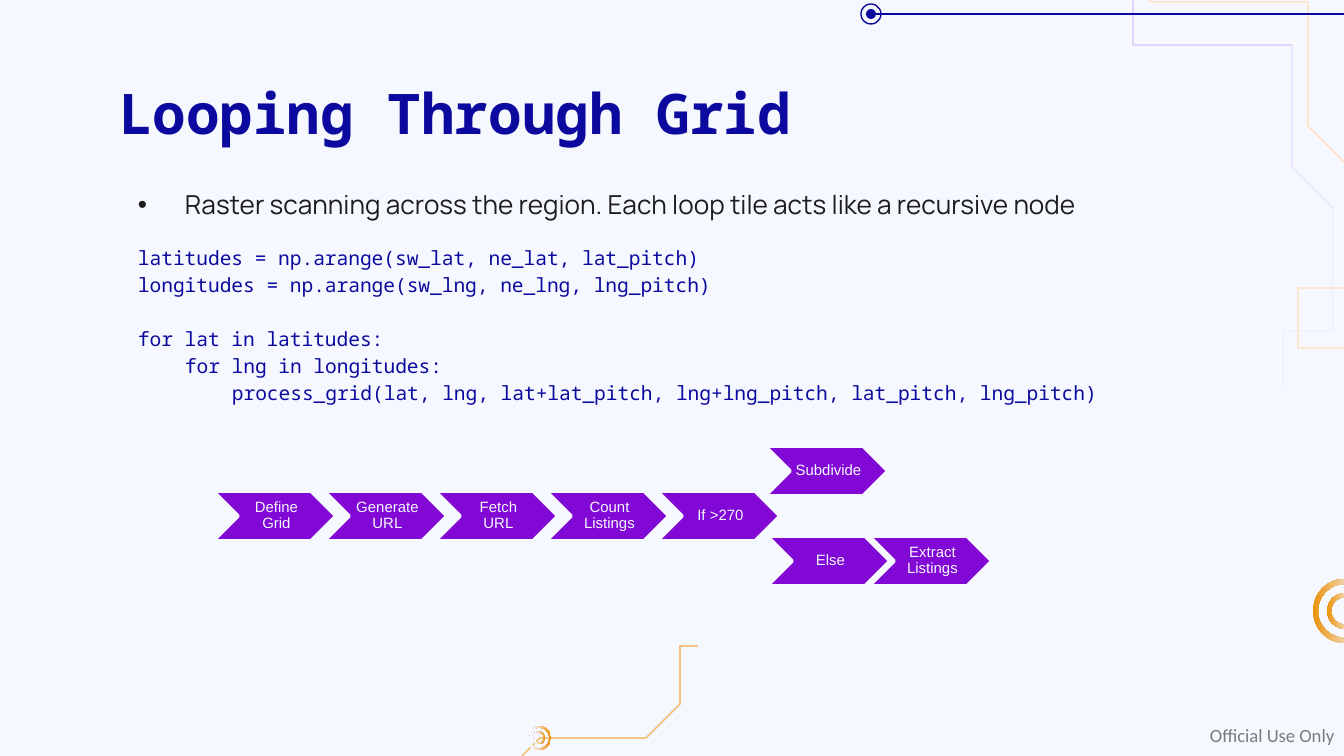
from dataclasses import dataclass

from lxml.etree import SubElement
from pptx import Presentation
from pptx.dml.color import RGBColor
from pptx.enum.shapes import MSO_CONNECTOR as CONNECTOR, MSO_SHAPE as SHAPE
from pptx.enum.text import MSO_ANCHOR as ANCHOR, MSO_AUTO_SIZE as AUTOSIZE, PP_ALIGN as ALIGN
from pptx.oxml.ns import qn
from pptx.util import Pt

WIDTH, HEIGHT = 1344, 756
SCALE = 9144000 / WIDTH


@dataclass(frozen=True)
class Theme:
    """Colours, fonts and type sizes of the slide."""
    paper: str = "F5F8FF"
    navy: str = "0C0A9E"
    ink: str = "1D1D1D"
    violet: str = "8208D5"
    amber: str = "EB9109"
    amber_trace: str = "F3C47F"
    amber_faint: str = "F9E6CF"
    lilac: str = "E3D2FB"
    lilac_faint: str = "EBE5FE"
    lilac_ghost: str = "F2F2FF"
    grey: str = "7B7C80"
    mono: str = "Noto Sans Mono"
    sans: str = "Manrope"
    label: str = "Arial"
    footer: str = "Calibri"
    title_size: float = 30
    body_size: float = 14
    code_size: float = 10.5
    step_size: float = 8
    footer_size: float = 10


THEME = Theme()

CODE = [
    (0, 12, "latitudes = np.arange(sw_lat, ne_lat, lat_pitch)"),
    (0, 0, "longitudes = np.arange(sw_lng, ne_lng, lng_pitch)"),
    (0, 14.5, "for lat in latitudes:"),
    (1, 0, "for lng in longitudes:"),
    (2, 0, "process_grid(lat, lng, lat+lat_pitch, lng+lng_pitch, lat_pitch, lng_pitch)"),
]

STEP_ROWS = [
    (213, 491, 111, ["Define Grid", "Generate URL", "Fetch URL", "Count Listings", "If >270"]),
    (765, 446, 102, ["Subdivide"]),
    (767, 536, 102, ["Else", "Extract Listings"]),
]

TRACES = [
    (THEME.lilac, [(1133, 0), (1133, 45), (1292, 45)]),
    (THEME.lilac_faint, [(1292, 45), (1292, 167), (1333, 208)]),
    (THEME.lilac_ghost, [(1333, 208), (1333, 331), (1283, 331), (1283, 388)]),
    (THEME.amber_faint, [(1149, 0), (1152, 2), (1308, 2), (1308, 126), (1344, 162)]),
    (THEME.amber_faint, [(1344, 288), (1298, 288), (1298, 348), (1344, 348)]),
    (THEME.amber_trace, [(522, 756), (540, 738), (646, 738), (680, 704), (680, 646), (698, 646)]),
]

RINGS = [
    (1345, 611, 64, 0.08, 0),
    (1345, 611, 36, 0.12, 0),
    (539, 738, 24, 0.07, 180),
    (539, 738, 13, 0.1, 180),
]


def px(*lengths):
    """Turn px lengths into a list of EMU."""
    return [round(length * SCALE) for length in lengths]


def rgb(code):
    """Turn a hex code into a colour."""
    return RGBColor.from_string(code)


def add_run(paragraph, text, font, size, color, bold=False):
    """Add one formatted run to a paragraph."""
    run = paragraph.add_run()
    run.text = text
    run.font.name, run.font.size, run.font.bold = font, Pt(size), bold
    run.font.color.rgb = rgb(color)


def set_frame(frame, margins, anchor=ANCHOR.TOP):
    """Set wrapping, insets and anchor of a text frame."""
    frame.word_wrap, frame.auto_size, frame.vertical_anchor = True, AUTOSIZE.NONE, anchor
    frame.margin_left, frame.margin_top, frame.margin_right, frame.margin_bottom = px(*margins)


def place(holder, left, top, width, height):
    """Move a placeholder and return its prepared text frame."""
    holder.left, holder.top, holder.width, holder.height = px(left, top, width, height)
    set_frame(holder.text_frame, (13, 13, 13, 13))
    return holder.text_frame


def format_body(paragraph, margin, indent=0, before=0):
    """Set alignment, indents and spacing of a body paragraph."""
    paragraph.alignment, paragraph.line_spacing = ALIGN.LEFT, 1.15
    paragraph.space_before = Pt(before)
    properties = paragraph._p.get_or_add_pPr()
    properties.set("marL", str(px(margin)[0]))
    properties.set("indent", str(px(indent)[0]))
    return properties


def fill_title(holder):
    """Write the slide title."""
    paragraph = place(holder, 106, 66, 1133, 85).paragraphs[0]
    paragraph.alignment = ALIGN.LEFT
    add_run(paragraph, "Looping Through Grid", THEME.mono, THEME.title_size, THEME.navy, True)


def fill_body(holder):
    """Write the bullet and the code listing."""
    frame = place(holder, 105, 171, 1133, 508)
    bullet = frame.paragraphs[0]
    properties = format_body(bullet, 67, -47)
    SubElement(SubElement(properties, qn("a:buClr")), qn("a:srgbClr"), val=THEME.ink)
    SubElement(properties, qn("a:buFont"), typeface=THEME.label)
    SubElement(properties, qn("a:buChar"), char="•")
    add_run(bullet, "Raster scanning across the region. Each loop tile acts like a recursive node",
            THEME.sans, THEME.body_size, THEME.ink)
    for depth, before, text in CODE:
        line = frame.add_paragraph()
        format_body(line, 20 + 47 * depth, before=before)
        add_run(line, text, THEME.mono, THEME.code_size, THEME.navy)


def add_preset(slide, kind, left, top, width, height, fill=None, line=None, weight=0.75):
    """Add a flat preset shape."""
    shape = slide.shapes.add_shape(kind, *px(left, top, width, height))
    shape.shadow.inherit = False
    if fill:
        shape.fill.solid()
        shape.fill.fore_color.rgb = rgb(fill)
    else:
        shape.fill.background()
    if line:
        shape.line.color.rgb, shape.line.width = rgb(line), Pt(weight)
    else:
        shape.line.fill.background()
    return shape


def add_step(slide, left, top, label):
    """Add one labelled chevron of the process."""
    step = add_preset(slide, SHAPE.CHEVRON, left, top, 123, 50, THEME.violet, THEME.paper, 2)
    set_frame(step.text_frame, (5, 1, 1, 1), ANCHOR.MIDDLE)
    paragraph = step.text_frame.paragraphs[0]
    paragraph.alignment, paragraph.line_spacing = ALIGN.CENTER, 0.9
    add_run(paragraph, label, THEME.label, THEME.step_size, THEME.paper)


def add_trace(slide, color, points):
    """Add one open circuit trace."""
    corners = [px(*point) for point in points]
    builder = slide.shapes.build_freeform(*corners[0])
    builder.add_line_segments(corners[1:], close=False)
    trace = builder.convert_to_shape()
    trace.shadow.inherit = False
    trace.fill.background()
    trace.line.color.rgb, trace.line.width = rgb(color), Pt(1)


def add_ring(slide, center_x, center_y, size, thickness, angle):
    """Add a ring that fades from amber into the background."""
    ring = add_preset(slide, SHAPE.DONUT, center_x - size / 2, center_y - size / 2, size, size)
    ring.adjustments[0] = thickness
    ring.fill.gradient()
    ring.fill.gradient_angle = angle
    stops = zip(ring.fill.gradient_stops, (0, 0.78), (THEME.amber, THEME.paper))
    for stop, position, color in stops:
        stop.position, stop.color.rgb = position, rgb(color)


def add_top_rule(slide):
    """Add the rule at the top edge with its target mark."""
    add_preset(slide, SHAPE.OVAL, 861, 4, 20, 20, line=THEME.navy)
    rule = slide.shapes.add_connector(CONNECTOR.STRAIGHT, *px(WIDTH, 14, 876, 14))
    rule.line.color.rgb, rule.line.width = rgb(THEME.navy), Pt(0.75)
    SubElement(rule._element.spPr, qn("a:effectLst"))
    add_preset(slide, SHAPE.OVAL, 866, 9, 10, 10, THEME.navy)


def add_footer(slide):
    """Add the classification label."""
    box = slide.shapes.add_textbox(*px(1210, 724, 129, 23))
    set_frame(box.text_frame, (0, 0, 0, 0))
    add_run(box.text_frame.paragraphs[0], "Official Use Only",
            THEME.footer, THEME.footer_size, THEME.grey)


def main():
    """Build and save the slide."""
    deck = Presentation()
    deck.slide_width, deck.slide_height = px(WIDTH, HEIGHT)
    slide = deck.slides.add_slide(deck.slide_layouts[0])
    slide.background.fill.solid()
    slide.background.fill.fore_color.rgb = rgb(THEME.paper)
    add_footer(slide)
    for color, points in TRACES:
        add_trace(slide, color, points)
    for ring in RINGS:
        add_ring(slide, *ring)
    add_top_rule(slide)
    fill_title(slide.shapes.title)
    fill_body(slide.placeholders[1])
    for left, top, pitch, labels in STEP_ROWS:
        for index, label in enumerate(labels):
            add_step(slide, left + pitch * index, top, label)
    deck.save("out.pptx")


if __name__ == "__main__":
    main()
